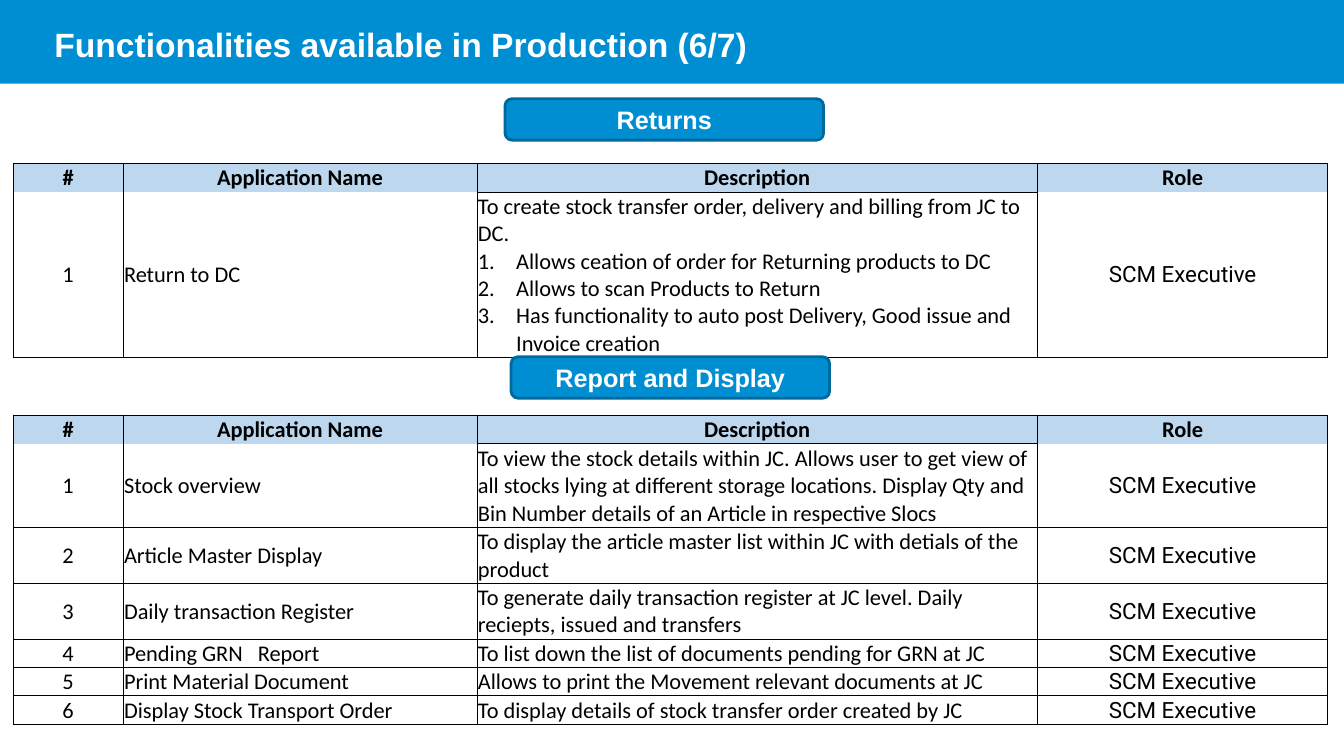
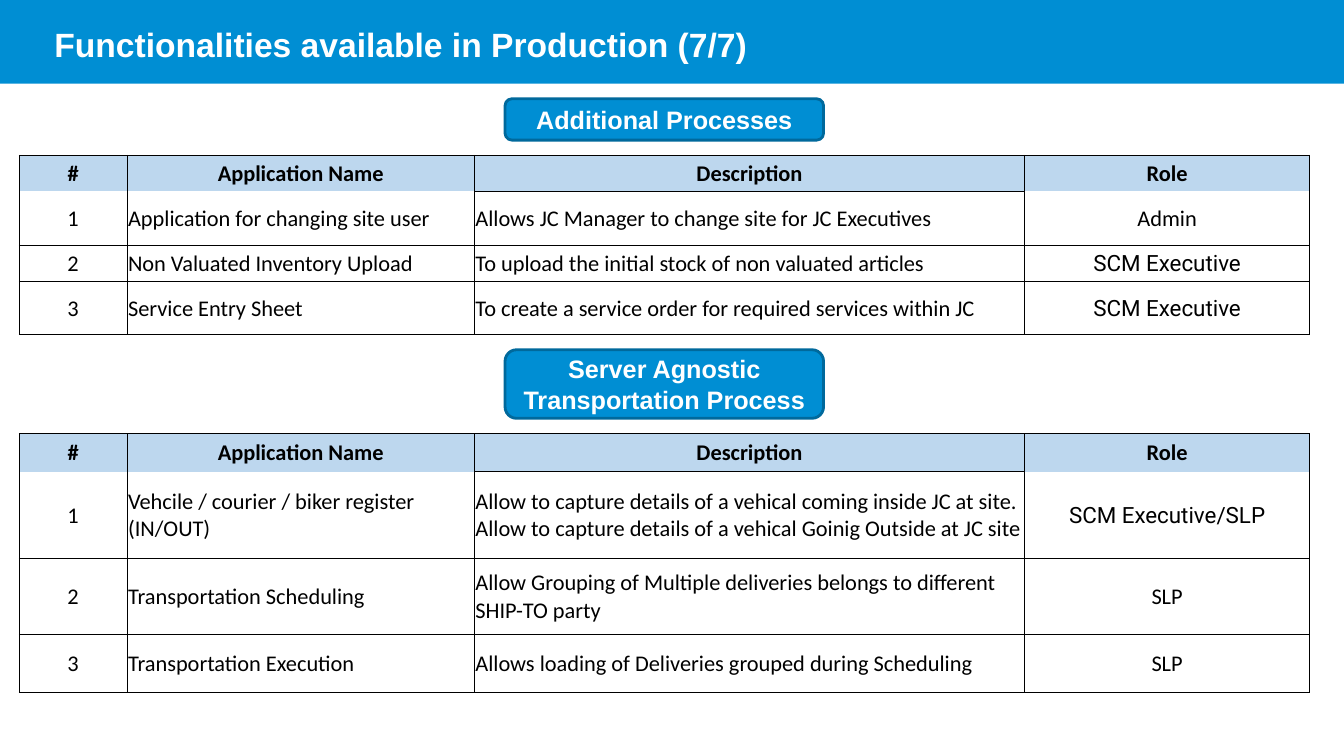
import pptx
import pptx.util
import pptx.dml.color
import pptx.enum.shapes
import pptx.enum.text
import pptx.oxml
import pptx.oxml.ns
from dataclasses import dataclass
from lxml import etree

SLIDE_WIDTH = pptx.util.Inches(13.33)
SLIDE_HEIGHT = pptx.util.Inches(7.5)
BLUE, DARK_BLUE, PALE_BLUE = "008ED3", "00699C", "BDD7EE"
WHITE, BLACK = "FFFFFF", "000000"
HEADINGS = ("#", "Application Name", "Description", "Role")
COLUMN_WEIGHTS = (1.09, 3.51, 5.56, 2.88)
DESCRIPTION = HEADINGS.index("Description")
CENTERED = pptx.enum.text.PP_ALIGN.CENTER
LEFT = pptx.enum.text.PP_ALIGN.LEFT
MIDDLE = pptx.enum.text.MSO_ANCHOR.MIDDLE


@dataclass
class Section:
    heading: str
    badge_top: float
    table_top: float
    row_heights: tuple
    applications: tuple
    badge_left: float = 37.58
    badge_height: float = 5.47


def across(percent):
    return int(SLIDE_WIDTH * percent / 100)


def down(percent):
    return int(SLIDE_HEIGHT * percent / 100)


def color(value):
    return pptx.dml.color.RGBColor.from_string(value)


def paint(fill, value):
    fill.solid()
    fill.fore_color.rgb = color(value)


def add_text(paragraph, text, size, font_name, text_color, bold=False, align=LEFT):
    paragraph.alignment = align
    run = paragraph.add_run()
    run.text = text
    run.font.size = pptx.util.Pt(size)
    run.font.name = font_name
    run.font.bold = bold
    run.font.color.rgb = color(text_color)


def add_band(layout, slide):
    band = slide.shapes.add_shape(pptx.enum.shapes.MSO_SHAPE.RECTANGLE,
                                  0, 0, SLIDE_WIDTH, down(11.07))
    band.shadow.inherit = False
    paint(band.fill, BLUE)
    band.line.fill.background()
    layout.element.cSld.spTree.insert(2, band.element)


def add_title(slide, text):
    title = slide.shapes.title
    title.left, title.top = across(3.3), down(2.4)
    title.width, title.height = across(88.37), down(7.6)
    frame = title.text_frame
    frame.word_wrap = True
    frame.auto_size = pptx.enum.text.MSO_AUTO_SIZE.NONE
    frame.vertical_anchor = pptx.enum.text.MSO_ANCHOR.TOP
    frame.margin_top = down(0.8)
    add_text(frame.paragraphs[0], text, 24, "Arial", WHITE, bold=True)


def add_badge(slide, section):
    badge = slide.shapes.add_shape(
        pptx.enum.shapes.MSO_SHAPE.ROUNDED_RECTANGLE,
        across(section.badge_left), down(section.badge_top),
        across(23.7), down(section.badge_height))
    badge.shadow.inherit = False
    paint(badge.fill, BLUE)
    badge.line.color.rgb = color(DARK_BLUE)
    badge.line.width = pptx.util.Pt(2)
    frame = badge.text_frame
    frame.word_wrap = True
    frame.vertical_anchor = MIDDLE
    add_text(frame.paragraphs[0], section.heading, 18, "Arial", WHITE,
             bold=True, align=CENTERED)


def add_borders(cell, hidden_side):
    properties = cell._tc.get_or_add_tcPr()
    for side in "LRTB":
        border = etree.SubElement(properties, pptx.oxml.ns.qn(f"a:ln{side}"),
                                  w=str(pptx.util.Pt(0.5)))
        if side == hidden_side:
            etree.SubElement(border, pptx.oxml.ns.qn("a:noFill"))
        else:
            ink = etree.SubElement(border, pptx.oxml.ns.qn("a:solidFill"))
            etree.SubElement(ink, pptx.oxml.ns.qn("a:srgbClr"), val=BLACK)


def number_paragraph(paragraph):
    properties = paragraph._p.get_or_add_pPr()
    indent = pptx.util.Inches(0.38)
    properties.set("marL", str(indent))
    properties.set("indent", str(-indent))
    etree.SubElement(properties, pptx.oxml.ns.qn("a:buFont"), typeface="+mj-lt")
    etree.SubElement(properties, pptx.oxml.ns.qn("a:buAutoNum"), type="arabicPeriod")


def fill_cell(cell, content, row, column):
    is_heading = row == 0
    hidden_side = None
    if column != DESCRIPTION:
        hidden_side = {0: "B", 1: "T"}.get(row)
    add_borders(cell, hidden_side)
    if is_heading:
        paint(cell.fill, PALE_BLUE)
    else:
        cell.fill.background()
    cell.vertical_anchor = MIDDLE
    cell.margin_left = cell.margin_right = cell.margin_top = pptx.util.Inches(0.01)
    cell.margin_bottom = 0
    font_name = "Roboto" if content.startswith("SCM") else "Calibri"
    align = CENTERED if is_heading or column in (0, 3) else LEFT
    frame = cell.text_frame
    for index, line in enumerate(content.split("\n")):
        paragraph = frame.add_paragraph() if index else frame.paragraphs[0]
        if index:
            number_paragraph(paragraph)
        add_text(paragraph, line, 16, font_name, BLACK, is_heading, align)


def add_application_table(slide, section, left, width):
    rows = [HEADINGS]
    rows += [(str(number), *application)
             for number, application in enumerate(section.applications, 1)]
    table = slide.shapes.add_table(
        len(rows), len(HEADINGS), across(left), down(section.table_top),
        across(width), down(sum(section.row_heights))).table
    table.horz_banding = False
    for column, weight in zip(table.columns, COLUMN_WEIGHTS):
        column.width = int(across(width) * weight / sum(COLUMN_WEIGHTS))
    for row, height in zip(table.rows, section.row_heights):
        row.height = down(height)
    for row_index, contents in enumerate(rows):
        for column_index, content in enumerate(contents):
            fill_cell(table.cell(row_index, column_index), content,
                      row_index, column_index)


def add_functionalities(slide, page, sections, table_left, table_width):
    add_title(slide, f"Functionalities available in Production ({page}/7)")
    for section in sections:
        add_application_table(slide, section, table_left, table_width)
        add_badge(slide, section)


RETURNS = Section("Returns", 13.07, 21.6, (3.8, 21.87), (
    ("Return to DC",
     "To create stock transfer order, delivery and billing from JC to DC.\n"
     "Allows ceation of order for Returning products to DC\n"
     "Allows to scan Products to Return\n"
     "Has functionality to auto post Delivery, Good issue and Invoice creation",
     "SCM Executive"),
))

REPORTS = Section(
    "Report and Display", 47.2, 54.93, (3.75, 11.07, 7.35, 7.35, 3.75, 3.75, 3.75), (
        ("Stock overview",
         "To view the stock details within JC. Allows user to get view of all stocks "
         "lying at different storage locations. Display Qty and Bin Number details of "
         "an Article in respective Slocs", "SCM Executive"),
        ("Article Master Display",
         "To display the article master list within JC with detials of the product",
         "SCM Executive"),
        ("Daily transaction Register",
         "To generate daily transaction register at JC level. Daily reciepts, issued "
         "and transfers", "SCM Executive"),
        ("Pending GRN   Report",
         "To list down the list of documents pending for GRN at JC", "SCM Executive"),
        ("Print Material Document",
         "Allows to print the Movement relevant documents at JC", "SCM Executive"),
        ("Display Stock Transport Order",
         "To display details of stock transfer order created by JC", "SCM Executive"),
    ), badge_left=38.03)

ADDITIONAL = Section("Additional Processes", 13.07, 20.53, (4.8, 7.07, 4.8, 7.07), (
    ("Application for changing site user",
     "Allows JC Manager to change site for JC Executives", "Admin"),
    ("Non Valuated Inventory Upload",
     "To upload the initial stock of non valuated articles", "SCM Executive"),
    ("Service Entry Sheet",
     "To create a service order for required services within JC", "SCM Executive"),
))

TRANSPORTATION = Section(
    "Server Agnostic Transportation Process", 46.27, 57.33, (5.07, 11.47, 10, 7.73), (
        ("Vehcile / courier / biker register (IN/OUT)",
         "Allow to capture details of a vehical coming inside JC at site. "
         "Allow to capture details of a vehical Goinig Outside at JC site",
         "SCM Executive/SLP"),
        ("Transportation Scheduling",
         "Allow Grouping of Multiple deliveries belongs to different SHIP-TO party",
         "SLP"),
        ("Transportation Execution",
         "Allows loading of Deliveries grouped during Scheduling", "SLP"),
    ), badge_height=9.07)


def main():
    deck = pptx.Presentation()
    deck.slide_width, deck.slide_height = SLIDE_WIDTH, SLIDE_HEIGHT
    title_only = deck.slide_layouts.get_by_name("Title Only")
    returns_slide = deck.slides.add_slide(title_only)
    processes_slide = deck.slides.add_slide(title_only)
    add_band(title_only, returns_slide)
    add_functionalities(returns_slide, 6, (RETURNS, REPORTS), 0.98, 97.82)
    add_functionalities(processes_slide, 7, (ADDITIONAL, TRANSPORTATION), 1.43, 96.02)
    deck.save("out.pptx")


if __name__ == "__main__":
    main()
